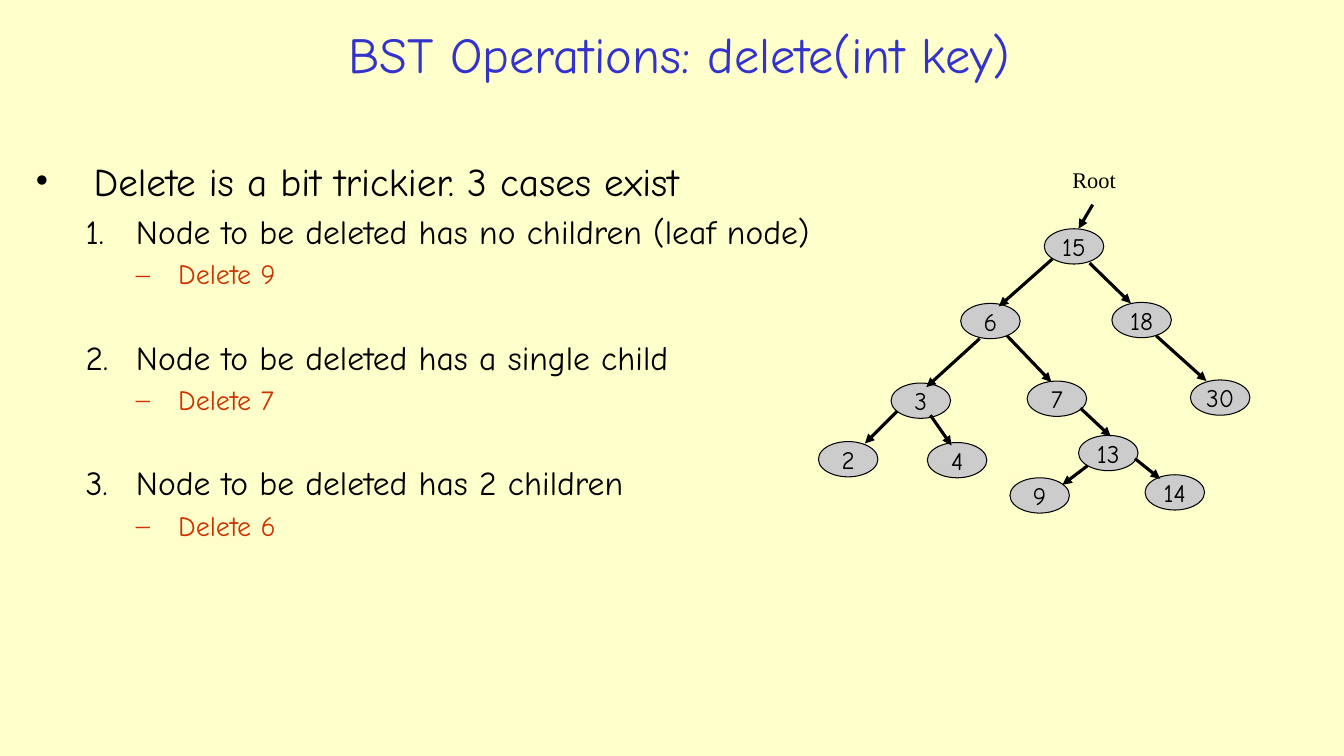
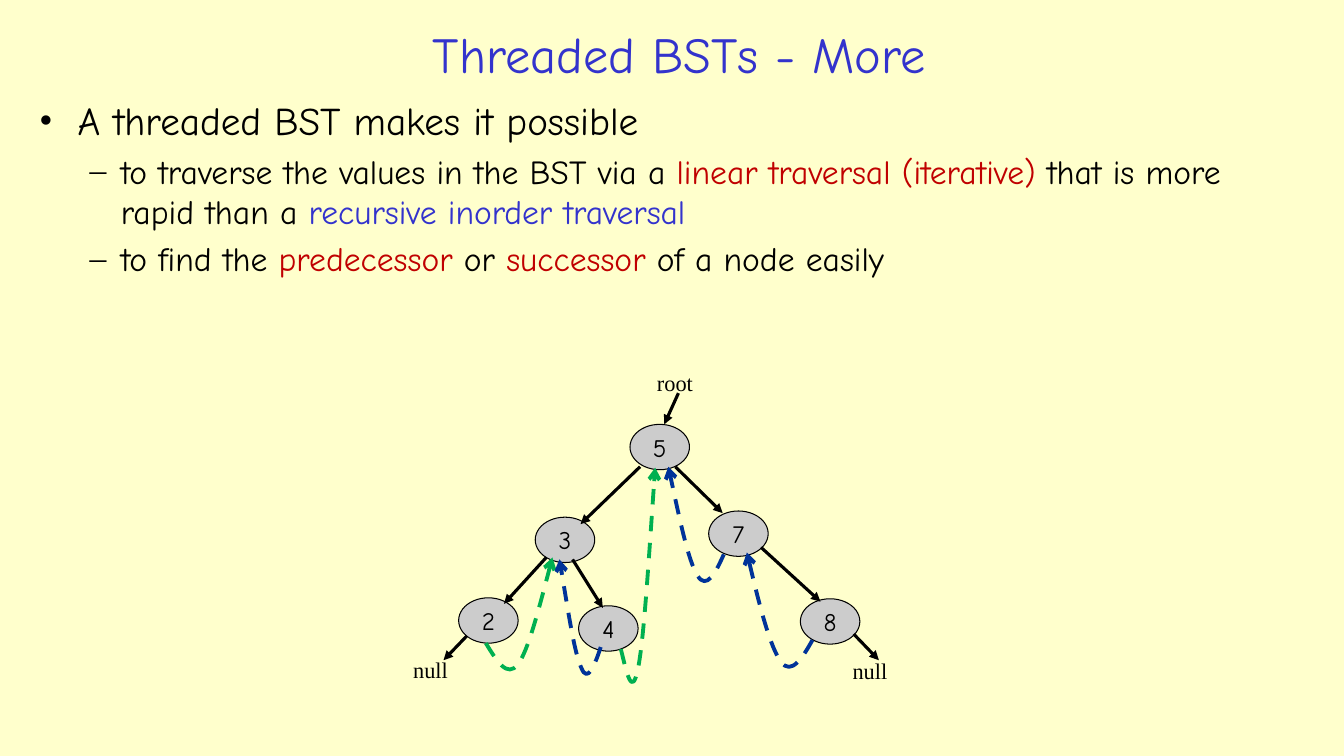
import pptx
import pptx.dml.color
import pptx.enum.dml
import pptx.enum.shapes
import pptx.enum.text
import pptx.oxml
import pptx.oxml.ns
import pptx.util
from dataclasses import dataclass
from lxml import etree

Pt = pptx.util.Pt
qn = pptx.oxml.ns.qn
ANCHOR = pptx.enum.text.MSO_ANCHOR
ALIGN = pptx.enum.text.PP_ALIGN


@dataclass(frozen=True)
class Theme:
    background: str = "FFFFCC"
    ink: str = "000000"
    title: str = "3333CC"
    example: str = "CC3300"
    highlight: str = "C00000"
    node: str = "CCCCCC"
    green: str = "00B050"
    blue: str = "003399"
    hand: str = "Comic Neue"
    serif: str = "Times New Roman"
    title_size: int = 36
    head_size: int = 28
    item_size: int = 24
    example_size: int = 20
    node_size: int = 18
    label_size: int = 16
    outline: float = 0.75
    edge: float = 2.25
    thread: float = 2.75


THEME = Theme()
SLIDE_SIZE = (960, 540)
TITLE_BOX = (141.8, 10.8, 686.9, 54.7)
NODE_WIDTH = 42.5
LABEL_HEIGHT = 26.6

HEAD = {"level": 0, "size": THEME.head_size, "bullet": "•", "margin": 41.8, "hang": 41.8, "before": 0}
CASE = {"level": 1, "size": THEME.item_size, "margin": 72, "hang": 36, "before": 4.8}
EXAMPLE = {"level": 2, "size": THEME.example_size, "bullet": "–", "margin": 102.2, "hang": 30.2, "before": 4}
THREADED_HEAD = {**HEAD, "margin": 27.4, "hang": 27.4}
POINT = {**CASE, "bullet": "–", "margin": 58.3, "hang": 22.3}
CASE_GAP = 33

DELETE_CASES = [
    ("Node to be deleted has no children (leaf node)", "Delete 9"),
    ("Node to be deleted has a single child", "Delete 7"),
    ("Node to be deleted has 2 children", "Delete 6"),
]
delete_lines = [(HEAD, [("Delete is a bit trickier. 3 cases exist", THEME.ink)])]
for number, (case, example) in enumerate(DELETE_CASES, 1):
    before = CASE["before"] if number == 1 else CASE_GAP
    delete_lines.append(({**CASE, "number": number, "before": before}, [(case, THEME.ink)]))
    delete_lines.append((EXAMPLE, [(example, THEME.example)]))

SLIDES = [
    {
        "title": "BST Operations: delete(int key)",
        "body_box": (18, 108.7, 618.5, 365),
        "body": delete_lines,
        "node_height": 25.2,
        "nodes": {
            "15": (745.9, 163.4), "6": (686.2, 216.7), "18": (794.2, 216),
            "30": (850.3, 271.4), "3": (636.5, 273.6), "7": (733.7, 272.2),
            "2": (584.6, 315.4), "4": (662.4, 316.1), "13": (770.4, 311),
            "9": (721.4, 341.3), "14": (817.9, 339.1),
        },
        "edges": [
            (780.5, 146.2, 770.4, 163.4),
            (751.7, 185, 713.5, 218.9),
            (778.3, 187.9, 807.8, 216.7),
            (825.8, 239.8, 861.8, 272.2),
            (699.8, 241.9, 661.7, 276.5),
            (719.3, 239.8, 751, 272.9),
            (640.8, 293.8, 617.8, 316.8),
            (664.6, 296.6, 679.7, 318.2),
            (771.8, 291.6, 793.4, 311.8),
            (776.9, 332.6, 758.9, 346.3),
            (810.7, 327.6, 828.7, 342),
        ],
        "labels": [("Root", 758.9, 115.2, 47.5)],
        "threads": [],
    },
    {
        "title": "Threaded BSTs - More",
        "body_box": (20.9, 65.5, 912.2, 157),
        "body": [
            (THREADED_HEAD, [("A threaded BST makes it possible", THEME.ink)]),
            (POINT, [
                ("to traverse the values in the BST via a ", THEME.ink),
                ("linear traversal (iterative) ", THEME.highlight),
                ("that is more rapid than a ", THEME.ink),
                ("recursive inorder traversal", THEME.title),
            ]),
            (POINT, [
                ("to find the ", THEME.ink),
                ("predecessor", THEME.highlight),
                (" or ", THEME.ink),
                ("successor", THEME.highlight),
                (" of a node easily", THEME.ink),
            ]),
        ],
        "node_height": 32.4,
        "nodes": {
            "5": (450, 303.1), "3": (382.3, 369.4), "7": (506.2, 365),
            "8": (571.7, 427.7), "2": (327.6, 427), "4": (413.3, 432.7),
        },
        "edges": [
            (484.6, 280.8, 474.5, 303.1),
            (457.2, 333.4, 414.7, 374.4),
            (482.4, 333.4, 516.2, 366.5),
            (543.6, 391, 586.1, 429.8),
            (390.2, 398.2, 360, 431.3),
            (409, 399.6, 430.6, 434.2),
            (333.4, 454.3, 316.8, 471.6),
            (609.8, 452.9, 627.8, 471.6),
        ],
        "labels": [
            ("root", 462.2, 259.9, 40.3),
            ("null", 288, 465.1, 39.6),
            ("null", 601.9, 465.8, 39.6),
        ],
        "threads": [
            (THEME.green, [(347, 459.4), (355, 472.3), (362.2, 484.6), (370.1, 474.5),
                           (377.3, 464.4), (385.9, 431.3), (394.6, 398.2)]),
            (THEME.blue, [(429.1, 462.2), (424.8, 475.2), (419.8, 488.2), (415.4, 477.4),
                          (410.4, 467.3), (405.4, 433.4), (399.6, 399.6)]),
            (THEME.green, [(443.5, 463.7), (447.8, 481), (451.4, 499), (455.8, 477.4),
                           (460.1, 455.8), (463.7, 394.6), (468, 334.1)]),
            (THEME.blue, [(517, 396), (511.2, 409), (504.7, 421.9), (498.2, 411.1),
                          (491.8, 401), (484.6, 367.2), (477.4, 333.4)]),
            (THEME.blue, [(580.3, 457.2), (573.1, 470.2), (565.2, 482.4), (558, 473),
                          (550.1, 462.2), (541.4, 428.4), (533.5, 394.6)]),
        ],
    },
]


def rgb(color):
    return pptx.dml.color.RGBColor.from_string(color)


def points(values):
    return [Pt(value) for value in values]


def set_all(target, values):
    for key, value in values.items():
        setattr(target, key, value)


def add_text(paragraph, text, size, color=THEME.ink, face=THEME.hand):
    run = paragraph.add_run()
    run.text = text
    set_all(run.font, {"name": face, "size": Pt(size)})
    run.font.color.rgb = rgb(color)


def set_line(shape, color, width, head=None, dash=None):
    shape.line.color.rgb = rgb(color)
    set_all(shape.line, {"width": Pt(width), "dash_style": dash})
    if head:
        outline = shape.element.spPr.find(qn("a:ln"))
        etree.SubElement(outline, qn("a:tailEnd"), type=head)


def add_title(slide, title):
    frame = slide.shapes.add_textbox(*points(TITLE_BOX)).text_frame
    set_all(frame, {"word_wrap": True, "vertical_anchor": ANCHOR.MIDDLE})
    frame.paragraphs[0].alignment = ALIGN.CENTER
    add_text(frame.paragraphs[0], title, THEME.title_size, THEME.title)


def add_body(slide, box, lines):
    frame = slide.shapes.add_textbox(*points(box)).text_frame
    frame.word_wrap = True
    for index, (style, runs) in enumerate(lines):
        paragraph = frame.add_paragraph() if index else frame.paragraphs[0]
        properties = paragraph._p.get_or_add_pPr()
        properties.set("marL", str(Pt(style["margin"])))
        properties.set("indent", str(-Pt(style["hang"])))
        if "number" in style:
            etree.SubElement(properties, qn("a:buAutoNum"), type="arabicPeriod",
                             startAt=str(style["number"]))
        else:
            etree.SubElement(properties, qn("a:buFont"), typeface=THEME.serif)
            etree.SubElement(properties, qn("a:buChar"), char=style["bullet"])
        set_all(paragraph, {"level": style["level"], "space_before": Pt(style["before"])})
        for text, color in runs:
            add_text(paragraph, text, style["size"], color)


def add_node(slide, value, left, top, height):
    node = slide.shapes.add_shape(pptx.enum.shapes.MSO_SHAPE.OVAL,
                                  *points((left, top, NODE_WIDTH, height)))
    node.shadow.inherit = False
    node.fill.solid()
    node.fill.fore_color.rgb = rgb(THEME.node)
    set_line(node, THEME.ink, THEME.outline)
    set_all(node.text_frame, {"word_wrap": False, "vertical_anchor": ANCHOR.MIDDLE})
    node.text_frame.paragraphs[0].alignment = ALIGN.CENTER
    add_text(node.text_frame.paragraphs[0], value, THEME.node_size)


def add_edge(slide, ends):
    edge = slide.shapes.add_connector(pptx.enum.shapes.MSO_CONNECTOR.STRAIGHT, *points(ends))
    set_line(edge, THEME.ink, THEME.edge, "triangle")
    etree.SubElement(edge.element.spPr, qn("a:effectLst"))


def add_label(slide, text, left, top, width):
    frame = slide.shapes.add_textbox(*points((left, top, width, LABEL_HEIGHT))).text_frame
    set_all(frame, {"word_wrap": False,
                    "auto_size": pptx.enum.text.MSO_AUTO_SIZE.SHAPE_TO_FIT_TEXT})
    add_text(frame.paragraphs[0], text, THEME.label_size, face=THEME.serif)


def add_thread(slide, color, curve):
    start, *rest = [points(point) for point in curve]
    builder = slide.shapes.build_freeform(*start)
    builder.add_line_segments(rest, close=False)
    thread = builder.convert_to_shape()
    thread.shadow.inherit = False
    thread.fill.background()
    set_line(thread, color, THEME.thread, "arrow", pptx.enum.dml.MSO_LINE.DASH)
    segments = list(thread.element.iter(qn("a:lnTo")))
    for first in range(0, len(segments), 3):
        bend = etree.SubElement(segments[first].getparent(), qn("a:cubicBezTo"))
        for segment in segments[first:first + 3]:
            bend.append(segment[0])
            segment.getparent().remove(segment)


def main():
    deck = pptx.Presentation()
    deck.slide_width, deck.slide_height = points(SLIDE_SIZE)
    backdrop = deck.slide_master.background.fill
    backdrop.solid()
    backdrop.fore_color.rgb = rgb(THEME.background)
    for content in SLIDES:
        slide = deck.slides.add_slide(deck.slide_layouts[6])
        add_title(slide, content["title"])
        add_body(slide, content["body_box"], content["body"])
        for value, (left, top) in content["nodes"].items():
            add_node(slide, value, left, top, content["node_height"])
        for ends in content["edges"]:
            add_edge(slide, ends)
        for label in content["labels"]:
            add_label(slide, *label)
        for color, curve in content["threads"]:
            add_thread(slide, color, curve)
    deck.save("out.pptx")


if __name__ == "__main__":
    main()
